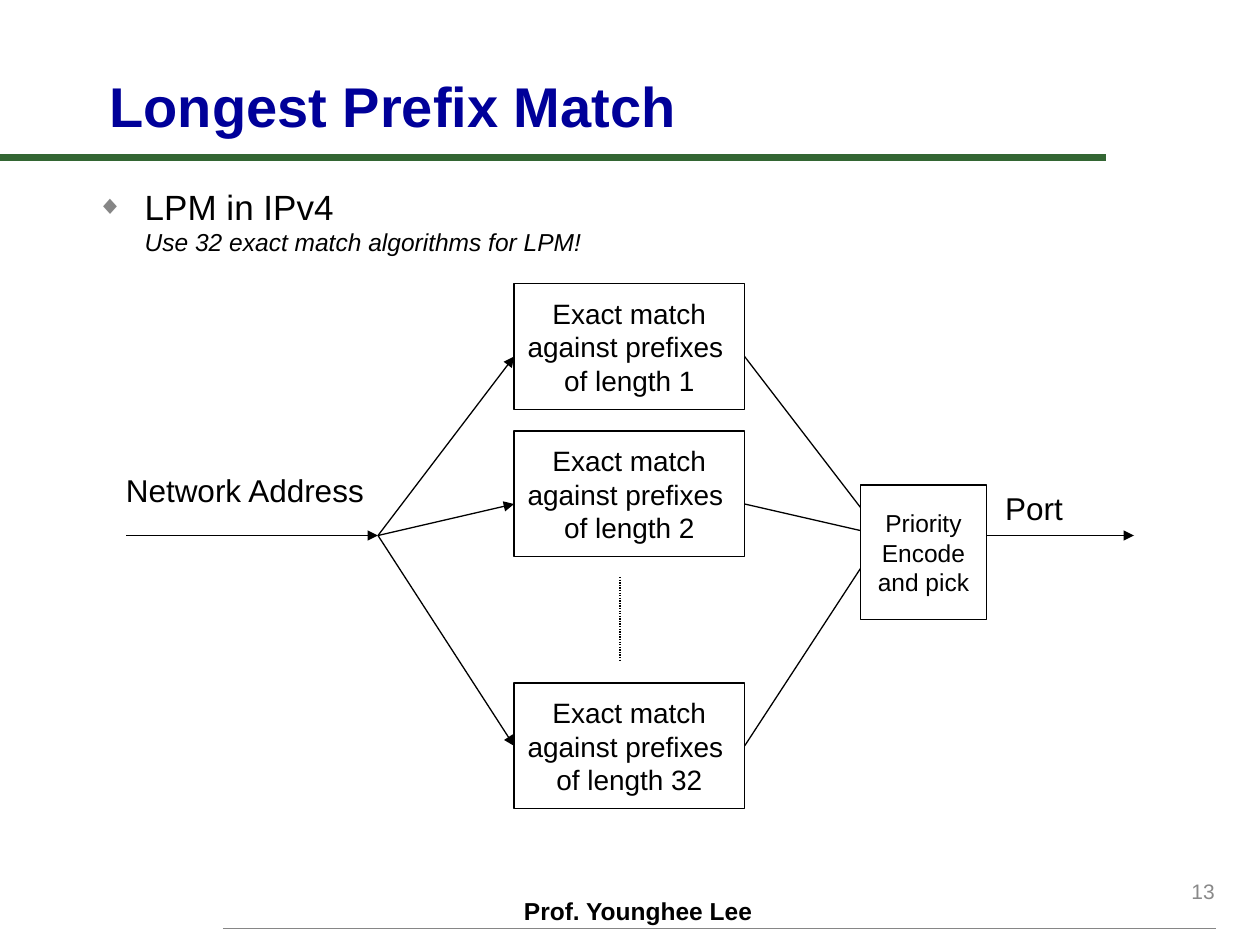
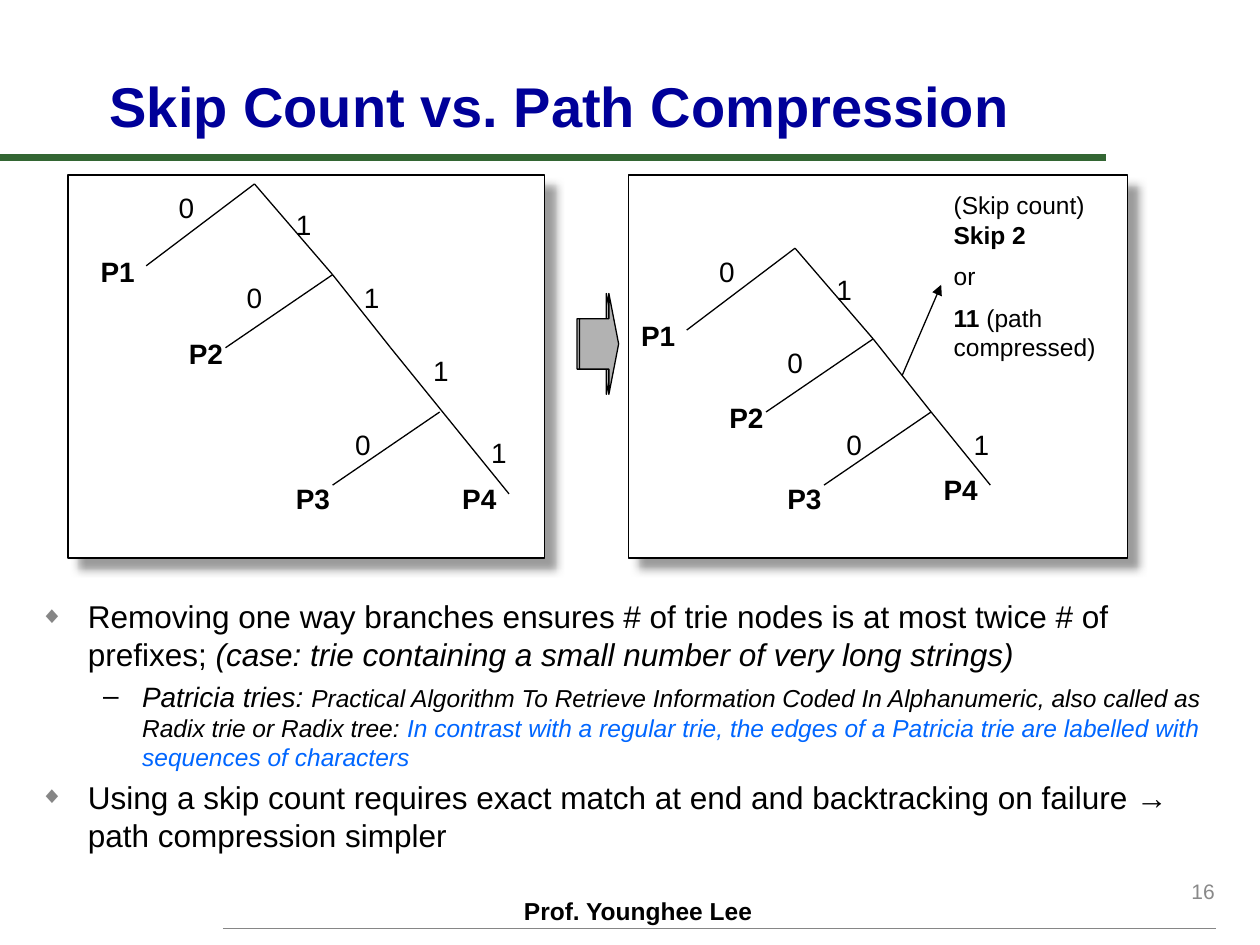
from lxml import etree
from pptx import Presentation
from pptx.dml.color import RGBColor
from pptx.enum.dml import MSO_LINE_DASH_STYLE as DASH
from pptx.enum.shapes import MSO_CONNECTOR as CONNECTOR, MSO_SHAPE as SHAPE
from pptx.enum.text import MSO_ANCHOR as ANCHOR, MSO_AUTO_SIZE as AUTO_SIZE, PP_ALIGN as ALIGN
from pptx.oxml import parse_xml
from pptx.oxml.ns import nsdecls, qn
from pptx.util import Inches, Pt

COLORS = {
    "title": "000099", "band": "336633", "gray": "868686", "number": "898989",
    "black": "000000", "white": "FFFFFF", "blue": "0066FF", "arrow": "B2B2B2",
    "shadow": "393939",
}
# Bullet character, colour, size in percent, text margin, hanging indent, level
BULLETS = {
    "diamond": ("◆", "gray", 75, 0.38, 0.38, 0),
    "dash": ("–", "black", 100, 0.81, 0.31, 1),
}


def add_line(slide, start, end, color="black", width=0.75, arrow=False):
    line = slide.shapes.add_connector(CONNECTOR.STRAIGHT, *map(Inches, start + end))
    line.line.color.rgb = RGBColor.from_string(COLORS[color])
    line.line.width = Pt(width)
    if arrow:
        etree.SubElement(line.line._get_or_add_ln(), qn("a:tailEnd"), type="triangle")
    etree.SubElement(line._element.spPr, qn("a:effectLst"))
    return line


def write_text(shape, paragraphs, size, color="black", bold=False, align=ALIGN.LEFT,
               anchor=ANCHOR.TOP, space=0, bullets=()):
    """Each paragraph is a list of (text, format) pairs; a leading \\v breaks the line."""
    frame = shape.text_frame
    frame.word_wrap = True
    frame.auto_size = AUTO_SIZE.NONE
    frame.vertical_anchor = anchor
    for index, parts in enumerate(paragraphs):
        paragraph = frame.paragraphs[0] if index == 0 else frame.add_paragraph()
        paragraph.alignment = align
        paragraph.space_before = Pt(space if index else 0)
        for text, style in parts:
            if text.startswith("\v"):
                paragraph.add_line_break()
            run = paragraph.add_run()
            run.text = text.lstrip("\v")
            font = run.font
            font.name = "Arial"
            font.size = Pt(style.get("size", size))
            font.bold = style.get("bold", bold)
            font.italic = style.get("italic", False)
            font.color.rgb = RGBColor.from_string(COLORS[style.get("color", color)])
        if bullets:
            char, tint, percent, margin, hanging, level = BULLETS[bullets[index]]
            paragraph.level = level
            properties = paragraph._p.get_or_add_pPr()
            properties.set("marL", str(Inches(margin)))
            properties.set("indent", str(-Inches(hanging)))
            bullet_color = etree.SubElement(properties, qn("a:buClr"))
            etree.SubElement(bullet_color, qn("a:srgbClr"), val=COLORS[tint])
            etree.SubElement(properties, qn("a:buSzPct"), val=str(percent * 1000))
            etree.SubElement(properties, qn("a:buFont"), typeface="Arial")
            etree.SubElement(properties, qn("a:buChar"), char=char)


presentation = Presentation()
presentation.slide_width = Inches(10)
presentation.slide_height = Inches(7.5)

# Shared frame: title, green band, footer and slide number
slides = []
for title, number in [("Longest Prefix Match", "13"), ("Skip Count vs. Path Compression", "16")]:
    slide = presentation.slides.add_slide(presentation.slide_layouts[5])
    slides.append(slide)
    add_line(slide, (0, 1.25), (8.78, 1.25), "band", 4)
    add_line(slide, (1.77, 7.37), (9.65, 7.37), "gray", 1)
    heading = slide.shapes.title
    heading.left, heading.top, heading.width, heading.height = map(Inches, (0.77, 0.44, 8.8, 0.71))
    write_text(heading, [[(title, {})]], 32, "title", bold=True, anchor=ANCHOR.BOTTOM)
    footer = slide.shapes.add_textbox(*map(Inches, (4.06, 7.06, 2.08, 0.33)))
    write_text(footer, [[("Prof. Younghee Lee", {})]], 14, bold=True)
    page = slide.shapes.add_textbox(*map(Inches, (7.66, 6.82, 2.08, 0.5)))
    write_text(page, [[(number, {})]], 12, "number", align=ALIGN.RIGHT, anchor=ANCHOR.MIDDLE)
match_slide, trie_slide = slides

# Longest prefix match: introduction
body = match_slide.shapes.add_textbox(*map(Inches, (0.67, 1.42, 8.92, 0.8)))
write_text(body, [[("LPM in IPv4", {}),
                   ("\vUse 32 exact match algorithms for LPM!", {"size": 14, "italic": True})]],
           20, bullets=["diamond"])

# Matchers, with lines fanning out from the address and in to the encoder
fan_out, fan_in = (3, 4.25), (7, 4.25)
add_line(match_slide, (1, 4.25), fan_out, arrow=True)
add_line(match_slide, fan_in, (9, 4.25), arrow=True)
matchers = [("1", 2.25, 2.83), ("2", 3.42, 4), ("32", 5.42, 5.92)]
boxes = [((4.08, top, 1.83, 1), ["Exact match", "against prefixes ", f"of length {length}"], 16)
         for length, top, line_y in matchers]
boxes.append(((6.83, 3.85, 1, 1.07), ["Priority", "Encode", "and pick"], 14))
incoming = [add_line(match_slide, fan_out, (4.08, y), arrow=True) for _, _, y in matchers]
outgoing = [add_line(match_slide, (5.91, y), fan_in, arrow=True) for _, _, y in matchers]
rectangles = []
for place, rows, size in boxes:
    rectangle = match_slide.shapes.add_shape(SHAPE.RECTANGLE, *map(Inches, place))
    rectangle.shadow.inherit = False
    rectangle.fill.solid()
    rectangle.fill.fore_color.rgb = RGBColor.from_string(COLORS["white"])
    rectangle.line.color.rgb = RGBColor.from_string(COLORS["black"])
    rectangle.line.width = Pt(0.75)
    write_text(rectangle, [[(row, {})] for row in rows], size,
               align=ALIGN.CENTER, anchor=ANCHOR.MIDDLE)
    rectangle.text_frame.word_wrap = False
    rectangles.append(rectangle)
incoming[2].end_connect(rectangles[2], 1)
outgoing[2].begin_connect(rectangles[2], 3)
add_line(match_slide, (4.92, 4.58), (4.92, 5.25)).line.dash_style = DASH.ROUND_DOT

for label, place in [("Network Address", (0.9, 3.69, 2.18, 0.4)), ("Port", (7.88, 3.83, 0.8, 0.4))]:
    caption = match_slide.shapes.add_textbox(*map(Inches, place))
    write_text(caption, [[(label, {})]], 18)

# Trie panels with soft shadows
for left, width in [(0.54, 3.78), (4.99, 3.96)]:
    panel = trie_slide.shapes.add_shape(SHAPE.RECTANGLE, *map(Inches, (left, 1.39, width, 3.04)))
    panel.fill.solid()
    panel.fill.fore_color.rgb = RGBColor.from_string(COLORS["white"])
    panel.line.color.rgb = RGBColor.from_string(COLORS["black"])
    panel.line.width = Pt(0.75)
    panel._element.spPr.append(parse_xml(
        f'<a:effectLst {nsdecls("a")}><a:outerShdw blurRad="{Pt(5)}" dist="{Pt(8.5)}" '
        f'dir="2700000" algn="ctr" rotWithShape="0"><a:srgbClr val="{COLORS["shadow"]}">'
        '<a:alpha val="50000"/></a:srgbClr></a:outerShdw></a:effectLst>'))

# Parts of the trie that both panels share, placed for the left panel
upper_edges = [((2.02, 1.46), (1.16, 2.11)), ((2.02, 1.46), (2.64, 2.18)),
               ((2.64, 2.18), (1.79, 2.76))]
upper_labels = [("P1", 0.7, 1.97), ("P2", 1.4, 2.62), ("0", 1.32, 1.46),
                ("0", 1.86, 2.18), ("1", 2.25, 1.6)]
lower_edges = [((3.49, 3.27), (2.64, 3.85))]
lower_labels = [("P3", 2.25, 3.77), ("0", 2.72, 3.34)]
# Offsets of the upper and lower parts, spine of 1 branches, labels beside it
tries = [
    ((0, 0), (0, 0), [(2.64, 2.18), (3.1, 2.76), (3.57, 3.34), (4.04, 3.92)],
     [("P4", 3.57, 3.77), ("1", 3.8, 3.41), ("1", 3.34, 2.76), ("1", 2.79, 2.18)]),
    ((4.29, 0.51), (3.9, 0), [(6.93, 2.69), (7.39, 3.27), (7.86, 3.85)],
     [("P4", 7.39, 3.7), ("1", 7.63, 3.34)]),
]
for upper, lower, spine, spine_labels in tries:
    parts = [(upper, upper_edges, upper_labels), (lower, lower_edges, lower_labels),
             ((0, 0), list(zip(spine, spine[1:])), spine_labels)]
    for (dx, dy), edges, labels in parts:
        for (x1, y1), (x2, y2) in edges:
            add_line(trie_slide, (x1 + dx, y1 + dy), (x2 + dx, y2 + dy))
        for label, x, y in labels:
            box = trie_slide.shapes.add_textbox(*map(Inches, (x + dx, y + dy, 0.7, 0.32)))
            write_text(box, [[(label, {})]], 16, bold=label.startswith("P"))

# Note on the compressed edge
note = trie_slide.shapes.add_textbox(*map(Inches, (7.47, 1.46, 1.62, 1.31)))
write_text(note, [[("(Skip count) ", {}), ("Skip 2", {"bold": True})], [("or", {})],
                  [("11", {"bold": True}), (" (path compressed)", {})]], 14, space=7)
add_line(trie_slide, (7.16, 2.98), (7.47, 2.26), arrow=True)

# Doubled block arrow between the panels
for left in (4.58, 4.6):
    arrow = trie_slide.shapes.add_shape(SHAPE.RIGHT_ARROW, *map(Inches, (left, 2.33, 0.31, 0.8)))
    arrow.adjustments[0], arrow.adjustments[1] = 0.5, 0.25
    arrow.shadow.inherit = False
    arrow.fill.solid()
    arrow.fill.fore_color.rgb = RGBColor.from_string(COLORS["arrow"])
    arrow.line.color.rgb = RGBColor.from_string(COLORS["black"])
    arrow.line.width = Pt(0.75)

# Conclusions
body = trie_slide.shapes.add_textbox(*map(Inches, (0.22, 4.69, 9.53, 2.28)))
small = {"size": 14, "italic": True}
write_text(body, [
    [("Removing one way branches ensures # of trie nodes is at most twice # of prefixes; ", {}),
     ("(case: trie containing a small number of very long strings)", {"italic": True})],
    [("Patricia tries: ", {"size": 16, "italic": True}),
     ("Practical Algorithm To Retrieve Information Coded In Alphanumeric, also called as  "
      "Radix trie or Radix tree: ", small),
     ("In contrast with a regular trie, the edges of a Patricia trie are labelled with "
      "sequences of characters", {**small, "color": "blue"})],
    [("Using a skip count requires exact match at end and backtracking on failure → "
      "path compression simpler", {})],
], 18, space=3.6, bullets=["diamond", "dash", "diamond"])

presentation.save("out.pptx")
